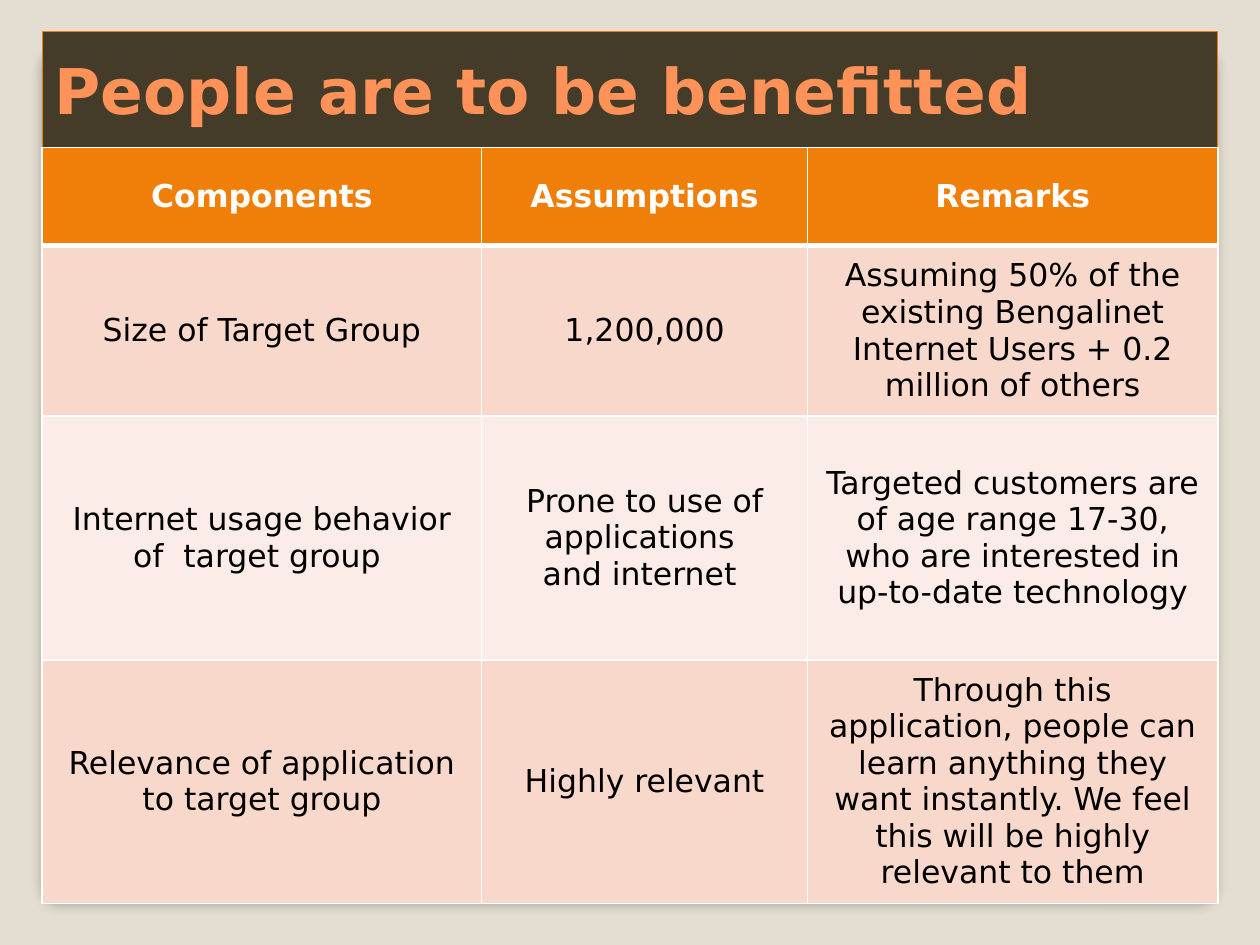
from lxml import etree
from pptx import Presentation
from pptx.dml.color import RGBColor
from pptx.enum.shapes import MSO_SHAPE
from pptx.enum.text import MSO_ANCHOR, PP_ALIGN
from pptx.oxml import parse_xml
from pptx.oxml.ns import nsdecls, qn
from pptx.util import Cm, Pt

ROUNDED = MSO_SHAPE.ROUNDED_RECTANGLE
MIDDLE = MSO_ANCHOR.MIDDLE
CENTER, LEFT = PP_ALIGN.CENTER, PP_ALIGN.LEFT
TITLE_ONLY = 5


def color(value):
    return RGBColor.from_string(value)


class SlideBuilder:
    """Holds the style and the slide being built."""

    font = "DejaVu Sans"
    accent = "F07F09"
    bands = ("F9D8CC", "FCECE7")

    def __init__(self, deck):
        self.slide = deck.slides.add_slide(deck.slide_layouts[TITLE_ONLY])

    def background(self, fill):
        self.slide.background.fill.solid()
        self.slide.background.fill.fore_color.rgb = color(fill)

    def style(self, frame, size, text_color, bold, align):
        for para in frame.paragraphs:
            para.alignment = align
            para.font.name = self.font
            para.font.size = Pt(size)
            para.font.bold = bold
            para.font.color.rgb = color(text_color)

    def panel(self, left, top, width, height):
        shape = self.slide.shapes.add_shape(ROUNDED, Cm(left), Cm(top), Cm(width), Cm(height))
        shape.adjustments[0] = 0.02
        shape.fill.solid()
        shape.fill.fore_color.rgb = color("FFFFFF")
        shape.line.color.rgb = color("A4A4A4")
        shape.line.width = Pt(0.16)
        shape._element.spPr.append(parse_xml(
            f'<a:effectLst {nsdecls("a")}><a:outerShdw blurRad="{Pt(6)}" dist="{Pt(4)}" '
            'dir="5400000" rotWithShape="0"><a:srgbClr val="000000"><a:alpha val="25000"/>'
            '</a:srgbClr></a:outerShdw></a:effectLst>'))
        self.slide.shapes.title._element.addprevious(shape._element)

    def title(self, text, left, top, width, height):
        box = self.slide.shapes.title
        box.left, box.top, box.width, box.height = Cm(left), Cm(top), Cm(width), Cm(height)
        box.fill.solid()
        box.fill.fore_color.rgb = color("443C29")
        box.line.color.rgb = color(self.accent)
        box.line.width = Pt(0.75)
        box.text_frame.text = text
        box.text_frame.vertical_anchor = MIDDLE
        self.style(box.text_frame, 36, "FF9258", True, LEFT)

    def border(self, cell, side, points):
        properties = cell._tc.get_or_add_tcPr()
        line = etree.SubElement(properties, qn(f"a:ln{side}"), w=str(Pt(points)))
        fill = etree.SubElement(line, qn("a:solidFill"))
        etree.SubElement(fill, qn("a:srgbClr"), val="FFFFFF")

    def table(self, rows, left, top, widths, heights):
        frame = self.slide.shapes.add_table(
            len(rows), len(widths), Cm(left), Cm(top), Cm(sum(widths)), Cm(sum(heights)))
        table = frame.table
        table.horz_banding = False
        for column, width in zip(table.columns, widths):
            column.width = Cm(width)
        for index, (texts, height) in enumerate(zip(rows, heights)):
            table.rows[index].height = Cm(height)
            header = index == 0
            for cell, text in zip(table.rows[index].cells, texts):
                cell.text = text
                cell.vertical_anchor = MIDDLE
                self.style(cell.text_frame, 18, "FFFFFF" if header else "000000", header, CENTER)
                for side in "LRTB":
                    thick = (index, side) in ((0, "B"), (1, "T"))
                    self.border(cell, side, 3 if thick else 1)
                cell.fill.solid()
                cell.fill.fore_color.rgb = color(self.accent if header else self.bands[(index - 1) % 2])


ROWS = [
    ("Components", "Assumptions", "Remarks"),
    ("Size of Target Group", "1,200,000",
     "Assuming 50% of the existing Bengalinet Internet Users + 0.2 million of others"),
    ("Internet usage behavior of  target group ",
     "Prone to use of applications \nand internet ",
     "Targeted customers are of age range 17-30, who are interested in up-to-date technology"),
    ("Relevance of application to target group", "Highly relevant",
     "Through this application, people can learn anything they want instantly. "
     "We feel this will be highly relevant to them"),
]

deck = Presentation()
deck.slide_width, deck.slide_height = Cm(25.4), Cm(19.05)
page = SlideBuilder(deck)
page.background("E3DED1")
page.panel(0.85, 0.91, 23.7, 17.22)
page.title("People are to be benefitted", 0.85, 0.64, 23.7, 2.33)
page.table(ROWS, 0.85, 2.97, (8.86, 6.57, 8.27), (1.98, 3.44, 4.91, 4.91))
deck.save("out.pptx")
